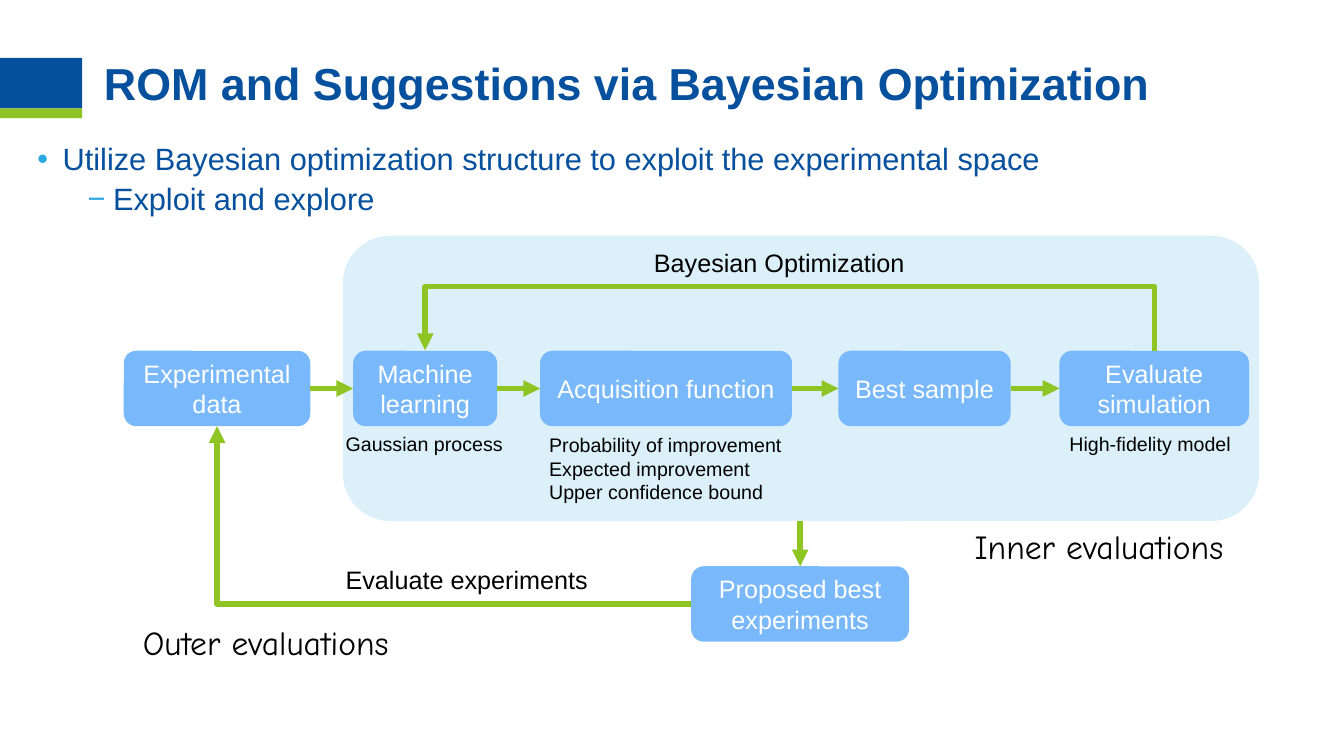
"""Build the slide on reduced-order models and Bayesian optimization."""
from lxml import etree
from pptx import Presentation
from pptx.dml.color import RGBColor
from pptx.enum.shapes import MSO_CONNECTOR, MSO_SHAPE
from pptx.enum.text import MSO_ANCHOR, MSO_AUTO_SIZE, PP_ALIGN
from pptx.oxml.ns import qn
from pptx.util import Cm, Pt

RECTANGLE, ROUNDED = MSO_SHAPE.RECTANGLE, MSO_SHAPE.ROUNDED_RECTANGLE
STRAIGHT, ELBOW = MSO_CONNECTOR.STRAIGHT, MSO_CONNECTOR.ELBOW
TOP, MIDDLE, BOTTOM = MSO_ANCHOR.TOP, MSO_ANCHOR.MIDDLE, MSO_ANCHOR.BOTTOM
LEFT, CENTER = PP_ALIGN.LEFT, PP_ALIGN.CENTER
GROW = MSO_AUTO_SIZE.SHAPE_TO_FIT_TEXT
BLUE, GREEN, SKY, PALE = "06509D", "8EC423", "79B8FA", "ABDCF3"
BULLET, WHITE, BLACK = "2CA8E1", "FFFFFF", "000000"


def color(value):
    return RGBColor.from_string(value)


def write(frame, lines, size, ink, align=LEFT, name="Arial", bold=False):
    for number, line in enumerate(lines):
        para = frame.paragraphs[0] if number == 0 else frame.add_paragraph()
        para.alignment = align
        span = para.add_run()
        span.text = line
        for key, value in {"size": Pt(size), "name": name, "bold": bold}.items():
            setattr(span.font, key, value)
        span.font.color.rgb = color(ink)


deck = Presentation()
deck.slide_width, deck.slide_height = Cm(33.87), Cm(19.05)
page = deck.slides.add_slide(deck.slide_layouts[6])

row_top, box_height = 8.84, 1.9
row_middle, row_bottom = row_top + box_height / 2, row_top + box_height
panel_bottom, proposal_top = 13.13, 14.27

shapes = [
    (RECTANGLE, 0, 1.46, 2.07, 1.27, BLUE, ""),
    (RECTANGLE, 0, 2.73, 2.07, 0.25, GREEN, ""),
    (ROUNDED, 8.64, 5.94, 23.09, panel_bottom - 5.94, PALE, ""),
]
steps = [
    ("Experimental data", 3.12, 4.7),
    ("Machine learning", 8.9, 3.63),
    ("Acquisition function", 13.61, 6.35),
    ("Best sample", 21.13, 4.34),
    ("Evaluate simulation", 26.7, 4.78),
]
proposal_left, proposal_width = 17.42, 5.49
for label, left, width in steps:
    shapes.append((ROUNDED, left, row_top, width, box_height, SKY, label))
shapes.append((ROUNDED, proposal_left, proposal_top, proposal_width, box_height,
               SKY, "Proposed best experiments"))

for kind, left, top, width, height, fill, label in shapes:
    box = page.shapes.add_shape(kind, Cm(left), Cm(top), Cm(width), Cm(height))
    box.shadow.inherit = False
    box.fill.solid()
    box.fill.fore_color.rgb = color(fill)
    box.line.fill.background()
    if fill == PALE:
        tint = box.fill._xPr.find(qn("a:solidFill"))[0]
        etree.SubElement(tint, qn("a:alpha"), val="41000")
    if label:
        box.text_frame.word_wrap = True
        box.text_frame.vertical_anchor = MIDDLE
        write(box.text_frame, [label], 18, WHITE, CENTER)

headings = [
    (["ROM and Suggestions via Bayesian Optimization"],
     2.62, 1.55, 28.93, 1.37, 32, True, BOTTOM),
    (["Utilize Bayesian optimization structure to exploit the experimental space",
      "Exploit and explore"], 0.94, 3.63, 30.61, 4.11, 22, False, TOP),
]
for lines, left, top, width, height, size, bold, anchor in headings:
    box = page.shapes.add_textbox(Cm(left), Cm(top), Cm(width), Cm(height))
    frame = box.text_frame
    frame_format = {"word_wrap": True, "vertical_anchor": anchor, "margin_left": 0,
                    "margin_top": 0, "margin_right": Cm(0.25), "margin_bottom": Cm(0.13)}
    for key, value in frame_format.items():
        setattr(frame, key, value)
    write(frame, lines, size, BLUE, bold=bold)
    for para in frame.paragraphs:
        para.line_spacing = 0.9

bullets = [("•", 0.64), ("−", 1.91)]
for level, (para, (mark, margin)) in enumerate(zip(frame.paragraphs, bullets)):
    para.level = level
    props = para._p.get_or_add_pPr()
    props.set("marL", str(Cm(margin)))
    props.set("indent", str(-Cm(0.64)))
    tint = etree.SubElement(props, qn("a:buClr"))
    etree.SubElement(tint, qn("a:srgbClr"), val=BULLET)
    etree.SubElement(props, qn("a:buFont"), typeface="Arial")
    etree.SubElement(props, qn("a:buChar"), char=mark)
    if level:
        para.space_before = Pt(5)

captions = [
    (["Gaussian process"], 8.46, 10.77, 4.5, 0.86, 14, "Arial"),
    (["Probability of improvement", "Expected improvement", "Upper confidence bound"],
     13.59, 10.79, 6.4, 2.06, 14, "Arial"),
    (["High-fidelity model"], 26.7, 10.77, 4.6, 0.86, 14, "Arial"),
    (["Bayesian Optimization"], 16.23, 6.1, 6.88, 1.02, 18, "Arial"),
    (["Evaluate experiments"], 8.46, 14.1, 6.68, 1.02, 18, "Arial"),
    (["Inner evaluations"], 24.31, 13.13, 7.39, 1.27, 24, "Comic Neue"),
    (["Outer evaluations"], 3.35, 15.54, 7.57, 1.27, 24, "Comic Neue"),
]
for lines, left, top, width, height, size, name in captions:
    box = page.shapes.add_textbox(Cm(left), Cm(top), Cm(width), Cm(height))
    box.text_frame.word_wrap = False
    box.text_frame.auto_size = GROW
    write(box.text_frame, lines, size, BLACK, name=name)

arrows = []
for (_, left, width), (_, next_left, _) in zip(steps, steps[1:]):
    arrows.append((STRAIGHT, left + width, row_middle, next_left, row_middle, {}, None))
proposal_center = proposal_left + proposal_width / 2
arrows.append((STRAIGHT, proposal_center, panel_bottom, proposal_center, proposal_top, {}, None))

data_center, learning_center, simulation_center = (
    steps[i][1] + steps[i][2] / 2 for i in (0, 1, 4))
loop_middle = (learning_center + simulation_center) / 2
loop_half = (simulation_center - learning_center) / 2
loop_depth, loop_rise = 0.03, 1.63
arrows.append((ELBOW, loop_middle - loop_depth / 2, row_top - loop_half,
               loop_middle + loop_depth / 2, row_top + loop_half,
               {"rot": "16200000", "flipV": "1"}, round(loop_rise / loop_depth * 100000)))
arrows.append((ELBOW, data_center, row_bottom, proposal_left, proposal_top + box_height / 2,
               {"rot": "10800000"}, None))

for kind, x1, y1, x2, y2, turn, bend in arrows:
    arrow = page.shapes.add_connector(kind, Cm(x1), Cm(y1), Cm(x2), Cm(y2))
    arrow.line.color.rgb = color(GREEN)
    arrow.line.width = Pt(4)
    etree.SubElement(arrow.line._get_or_add_ln(), qn("a:tailEnd"), type="triangle")
    props = arrow._element.spPr
    etree.SubElement(props, qn("a:effectLst"))
    for key, value in turn.items():
        props.find(qn("a:xfrm")).set(key, value)
    outline = props.find(qn("a:prstGeom"))
    if bend:
        guides = outline.find(qn("a:avLst"))
        etree.SubElement(guides, qn("a:gd"), name="adj1", fmla=f"val {bend}")
    elif kind == ELBOW:
        outline.set("prst", "bentConnector2")

deck.save("out.pptx")
